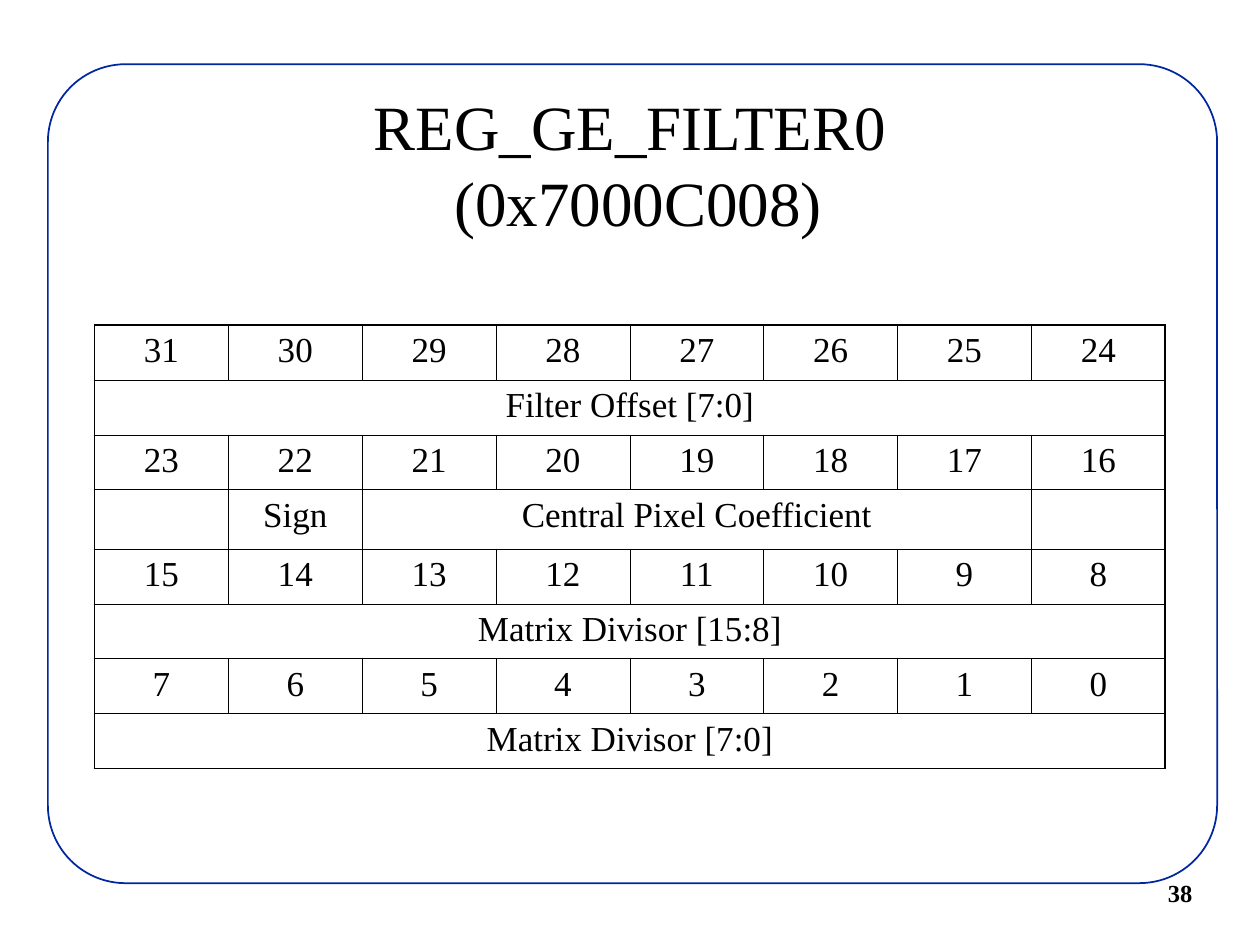
from dataclasses import dataclass

from lxml import etree
from pptx import Presentation
from pptx.dml.color import RGBColor
from pptx.enum import shapes, text
from pptx.oxml import ns
from pptx.util import Inches, Pt


@dataclass(frozen=True)
class Theme:
    font: str = "Times New Roman"
    ink: str = "000000"
    paper: str = "FFFFFF"
    frame: str = "00279F"
    title_size: float = 36
    cell_size: float = 20
    number_size: float = 14
    outer_line: float = 1.08
    inner_line: float = 0.45


THEME = Theme()
BITS = 8

# Fields of each register byte, highest byte first: (label, width in bits)
BYTE_FIELDS = [
    [("Filter Offset [7:0]", 8)],
    [("", 1), ("Sign", 1), ("Central Pixel Coefficient", 5), ("", 1)],
    [("Matrix Divisor [15:8]", 8)],
    [("Matrix Divisor [7:0]", 8)],
]


def style_text(frame, size, bold=False, align=text.PP_ALIGN.CENTER):
    for para in frame.paragraphs:
        para.alignment = align
        para.font.size = Pt(size)
        for span in para.runs:
            span.font.name = THEME.font
            span.font.size = Pt(size)
            span.font.bold = bold
            span.font.color.rgb = RGBColor.from_string(THEME.ink)


def add_frame(page):
    frame = page.shapes.add_shape(
        shapes.MSO_SHAPE.ROUNDED_RECTANGLE,
        Inches(0.38), Inches(0.51), Inches(9.28), Inches(6.5))
    frame.adjustments[0] = 0.095
    frame.shadow.inherit = False
    frame.fill.solid()
    frame.fill.fore_color.rgb = RGBColor.from_string(THEME.paper)
    frame.line.color.rgb = RGBColor.from_string(THEME.frame)
    frame.line.width = Pt(1)


def add_label(page, words, left, top, width, height, size, **style):
    box = page.shapes.add_textbox(
        Inches(left), Inches(top), Inches(width), Inches(height))
    box.text_frame.word_wrap = True
    box.text_frame.vertical_anchor = text.MSO_ANCHOR.MIDDLE
    box.text_frame.text = words
    style_text(box.text_frame, size, **style)


def set_borders(cell, outer_sides):
    properties = cell._tc.get_or_add_tcPr()
    for position, side in enumerate("LRTB"):
        width = THEME.outer_line if side in outer_sides else THEME.inner_line
        line = etree.Element(ns.qn(f"a:ln{side}"), w=str(int(Pt(width))))
        fill = etree.SubElement(line, ns.qn("a:solidFill"))
        etree.SubElement(fill, ns.qn("a:srgbClr"), val=THEME.ink)
        properties.insert(position, line)


def fill_row(table, row, fields):
    column = 0
    for label, width in fields:
        cell = table.cell(row, column)
        if width > 1:
            cell.merge(table.cell(row, column + width - 1))
        cell.text_frame.text = label
        style_text(cell.text_frame, THEME.cell_size)
        column += width


def add_register_table(page):
    rows = 2 * len(BYTE_FIELDS)
    table = page.shapes.add_table(
        rows, BITS, Inches(0.75), Inches(2.58), Inches(8.5), Inches(3.52)).table
    table.first_row = False
    table.horz_banding = False
    for row in table.rows:
        row.height = Inches(0.436)
    table.rows[3].height = Inches(0.47)

    # Bit numbers alternate with the fields they hold
    for index, fields in enumerate(BYTE_FIELDS):
        top_bit = BITS * (len(BYTE_FIELDS) - index) - 1
        fill_row(table, 2 * index, [(str(top_bit - bit), 1) for bit in range(BITS)])
        fill_row(table, 2 * index + 1, fields)

    # Heavier lines around the outside
    for row in range(rows):
        for column in range(BITS):
            cell = table.cell(row, column)
            cell.fill.background()
            edges = {"L": column == 0, "R": column == BITS - 1,
                     "T": row == 0, "B": row == rows - 1}
            if cell.is_merge_origin:
                edges["R"] = column + cell.span_width == BITS
            set_borders(cell, [side for side, outer in edges.items() if outer])


def main():
    deck = Presentation()
    deck.slide_width, deck.slide_height = Inches(10), Inches(7.5)
    page = deck.slides.add_slide(deck.slide_layouts[6])
    add_frame(page)
    add_label(page, "38", 9.17, 6.92, 1.08, 0.33, THEME.number_size,
              bold=True, align=text.PP_ALIGN.LEFT)
    add_label(page, "REG_GE_FILTER0\v (0x7000C008)", 0.75, 0.67, 8.5, 1.25,
              THEME.title_size)
    add_register_table(page)
    deck.save("out.pptx")


if __name__ == "__main__":
    main()
